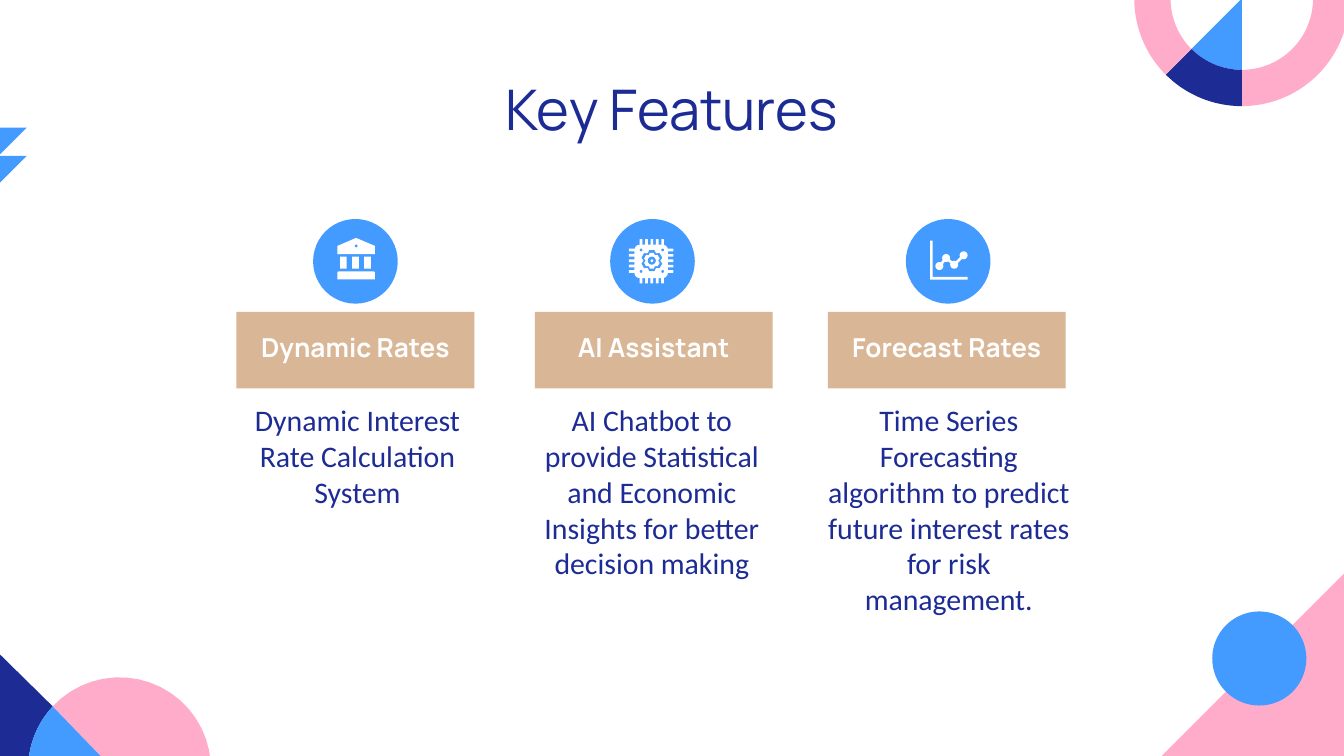
from itertools import pairwise
from math import cos, radians, sin

from lxml import etree
from pptx import Presentation
from pptx.dml.color import RGBColor
from pptx.enum import shapes, text
from pptx.oxml.ns import qn
from pptx.util import Inches, Pt

NAVY, BLUE, PINK, TAN, WHITE = "1D2B95", "449BFF", "FFACCA", "D9B695", "FFFFFF"
KIND = shapes.MSO_SHAPE

TITLE = {"size": Pt(30), "name": "Manrope"}
HEADING = {"size": Pt(14), "name": "Manrope", "bold": True}
BODY = {"size": Pt(16), "name": "Calibri"}

# Heading left, heading, description left, description height, description
FEATURES = [
    (1.76, "Dynamic Rates", 1.65, 1.11, "Dynamic Interest Rate Calculation System"),
    (3.98, "AI Assistant", 3.84, 1.59,
     "AI Chatbot to provide Statistical and Economic Insights for better decision making"),
    (6.16, "Forecast Rates", 6.05, 1.59,
     "Time Series Forecasting algorithm to predict future interest rates for risk management."),
]


def color(value):
    return RGBColor.from_string(value)


def paint(shape, fill):
    shape.shadow.inherit = False
    shape.fill.solid()
    shape.fill.fore_color.rgb = color(fill)
    shape.line.fill.background()
    return shape


def add_shape(page, kind, left, top, width, height, fill):
    box = [Inches(value) for value in (left, top, width, height)]
    return paint(page.shapes.add_shape(kind, *box), fill)


def add_dot(page, x, y, radius, fill):
    add_shape(page, KIND.OVAL, x - radius, y - radius, 2 * radius, 2 * radius, fill)


def add_outline(page, points, fill):
    start, *others = [(Inches(x), Inches(y)) for x, y in points]
    builder = page.shapes.build_freeform(*start)
    builder.add_line_segments(others, close=True)
    paint(builder.convert_to_shape(), fill)


def add_line(page, start, end, fill, width):
    ends = [Inches(value) for value in (*start, *end)]
    line = page.shapes.add_connector(shapes.MSO_CONNECTOR.STRAIGHT, *ends)
    line.line.color.rgb = color(fill)
    line.line.width = Pt(width)
    etree.SubElement(line._element.spPr, qn("a:effectLst"))


def write(box, words, fill, style, anchor, spacing=None):
    frame = box.text_frame
    settings = {"word_wrap": True, "vertical_anchor": anchor}
    for side in ("left", "right", "top", "bottom"):
        settings[f"margin_{side}"] = Inches(0.1)
    for name, value in settings.items():
        setattr(frame, name, value)
    para = frame.paragraphs[0]
    para.alignment = text.PP_ALIGN.CENTER
    para.line_spacing = spacing
    span = para.add_run()
    span.text = words
    span.font.color.rgb = color(fill)
    for name, value in style.items():
        setattr(span.font, name, value)


def add_text(page, left, top, width, height, words, style, anchor):
    box = page.shapes.add_textbox(Inches(left), Inches(top), Inches(width), Inches(height))
    write(box, words, NAVY, style, anchor)


def arc(x, y, radius, start, end, steps=40):
    """Points on a circle; angles run clockwise from the right."""
    angles = [radians(start + (end - start) * step / steps) for step in range(steps + 1)]
    return [(x + radius * cos(angle), y + radius * sin(angle)) for angle in angles]


def draw_corners(page):
    # Bottom right: triangle and disc
    add_outline(page, [(10.01, 4.26), (10.01, 5.66), (8.61, 5.66)], PINK)
    add_dot(page, 9.37, 4.9, 0.35, BLUE)

    # Top right: ring with a highlighted wedge
    center = (9.24, -0.01)
    add_outline(page, [center, *arc(*center, 0.53, 90, 135)], BLUE)
    for start, end, fill in ((0, 90, PINK), (90, 135, NAVY), (135, 180, PINK)):
        ring = arc(*center, 0.8, start, end) + arc(*center, 0.53, end, start)
        add_outline(page, ring, fill)

    # Bottom left: disc cut by a diagonal
    disc, tip = (0.89, 5.72, 0.68), (1.08, 5.97)
    add_outline(page, [*arc(*disc, 223, 518), tip], PINK)
    add_outline(page, [(-0.02, 4.85), (-0.02, 5.97), *arc(*disc, 158, 223)], NAVY)
    add_outline(page, [*arc(*disc, 158, 223), tip], BLUE)

    # Left edge: two flags
    for top in (0.95, 1.16):
        add_outline(page, [(0, top), (0.2, top), (0, top + 0.2)], BLUE)


def draw_bank(page):
    roof = [(2.65, 1.77), (2.79, 1.83), (2.79, 1.89), (2.51, 1.89), (2.51, 1.83)]
    add_outline(page, roof, WHITE)
    add_dot(page, 2.65, 1.83, 0.01, BLUE)
    for left in (2.53, 2.62, 2.71):
        add_shape(page, KIND.RECTANGLE, left, 1.91, 0.05, 0.09, WHITE)
    add_shape(page, KIND.ROUND_2_SAME_RECTANGLE, 2.51, 2.02, 0.28, 0.06, WHITE)


def add_gear(page, x, y, radius, fill):
    points = []
    for tooth in range(30, 390, 60):
        for turn, reach in ((-27, 0.8), (-14, 1), (14, 1), (27, 0.8)):
            points += arc(x, y, radius * reach, tooth + turn, tooth + turn, 1)[:1]
    add_outline(page, points, fill)


def draw_chip(page):
    x, y = 4.85, 1.94
    for step in range(-2, 3):
        shift = 0.04 * step
        add_shape(page, KIND.ROUNDED_RECTANGLE, x - 0.17, y + shift - 0.01, 0.33, 0.02, WHITE)
        add_shape(page, KIND.ROUNDED_RECTANGLE, x + shift - 0.01, y - 0.16, 0.02, 0.33, WHITE)
    add_shape(page, KIND.ROUNDED_RECTANGLE, x - 0.13, y - 0.12, 0.25, 0.25, WHITE)
    for side in (-0.08, 0.08):
        for level in (-0.08, 0.08):
            add_dot(page, x + side, y + level, 0.01, BLUE)
    add_gear(page, x, y, 0.08, BLUE)
    add_gear(page, x, y, 0.06, WHITE)
    add_dot(page, x, y, 0.03, BLUE)
    add_dot(page, x, y, 0.01, WHITE)


def draw_trend(page):
    axes = [(6.92, 1.79), (6.94, 1.79), (6.94, 2.06), (7.2, 2.06), (7.2, 2.08), (6.92, 2.08)]
    add_outline(page, axes, WHITE)
    values = [(6.99, 1.98), (7.04, 1.92), (7.1, 1.97), (7.17, 1.9)]
    for start, end in pairwise(values):
        add_line(page, start, end, WHITE, 1.4)
    for x, y in values:
        add_dot(page, x, y, 0.03, WHITE)


def main():
    deck = Presentation()
    deck.slide_width = Inches(10)
    deck.slide_height = deck.slide_width * 9 // 16
    page = deck.slides.add_slide(deck.slide_layouts[6])
    draw_corners(page)

    # Feature headings and descriptions
    middle, top = text.MSO_ANCHOR.MIDDLE, text.MSO_ANCHOR.TOP
    for left, heading, body_left, height, body in FEATURES:
        card = add_shape(page, KIND.RECTANGLE, left, 2.32, 1.77, 0.57, TAN)
        write(card, heading, WHITE, HEADING, middle, 0.8)
        add_text(page, body_left, 2.89, 2.02, height, body, BODY, top)

    add_text(page, 0.78, 0.49, 8.44, 0.63, "Key Features", TITLE, middle)

    # Icons on discs
    for left, draw_icon in ((2.33, draw_bank), (4.54, draw_chip), (6.74, draw_trend)):
        add_shape(page, KIND.OVAL, left, 1.63, 0.63, 0.63, BLUE)
        draw_icon(page)

    deck.save("out.pptx")


if __name__ == "__main__":
    main()
